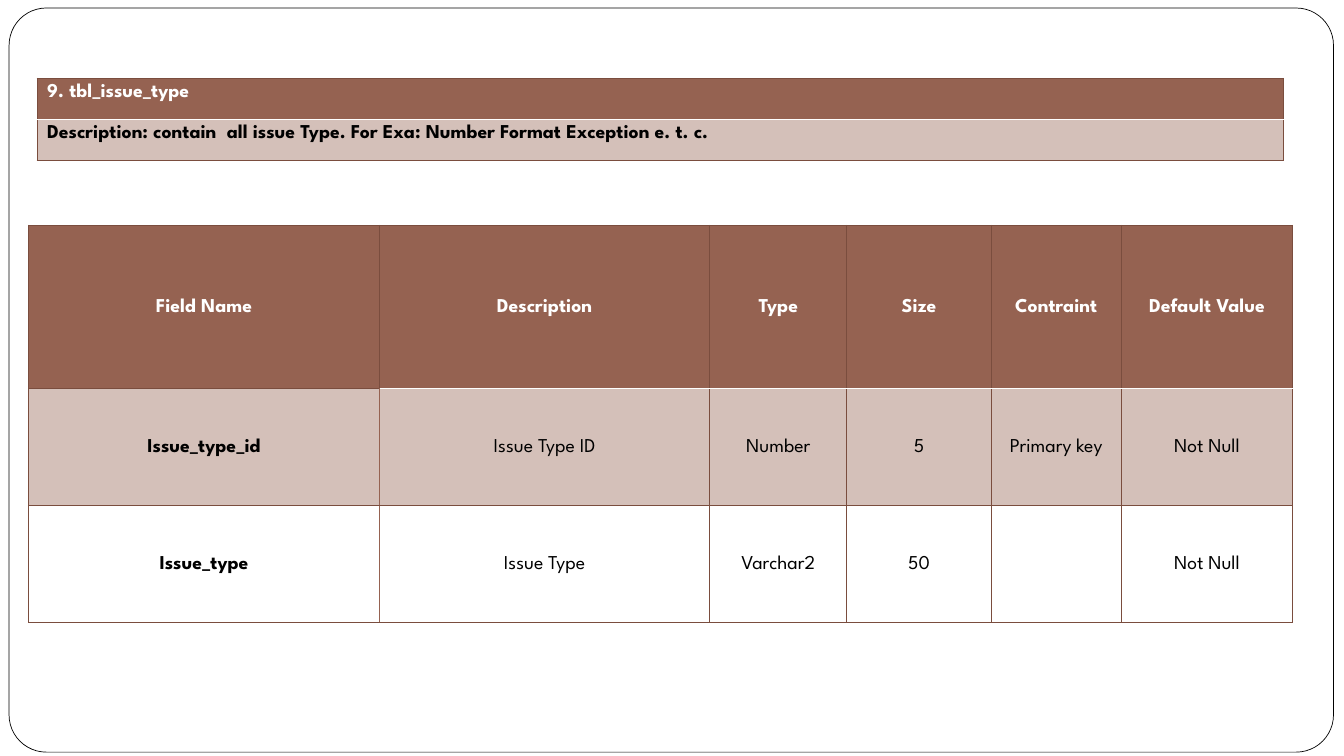
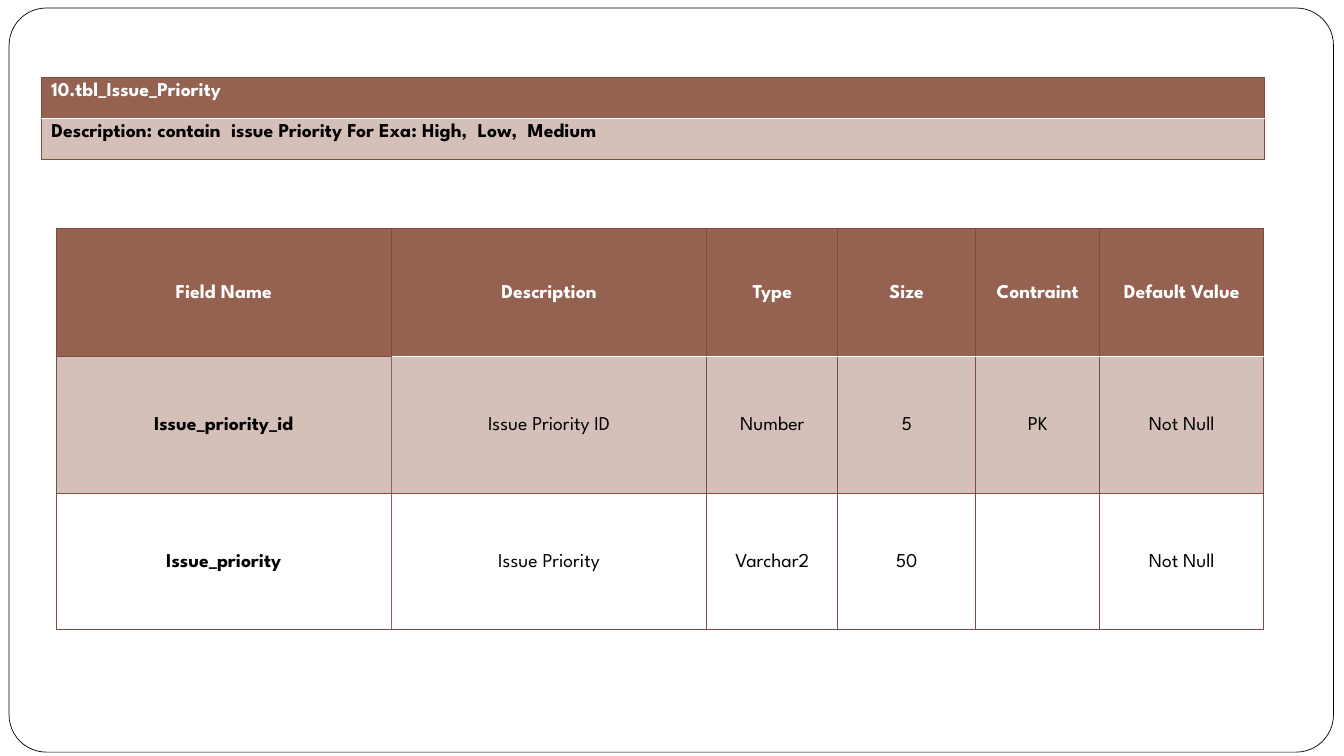
from dataclasses import dataclass

from lxml.etree import SubElement
from pptx import Presentation
from pptx.dml.color import RGBColor
from pptx.enum.shapes import MSO_SHAPE as Shape
from pptx.enum.text import MSO_ANCHOR as Anchor, PP_ALIGN as Align
from pptx.oxml.ns import qn
from pptx.util import Pt


@dataclass(frozen=True)
class Theme:
    font: str = "League Spartan"
    size: float = 14
    white: str = "FFFFFF"
    black: str = "000000"
    brown: str = "956251"
    edge: str = "7A4D3E"
    tint: int = 40


THEME = Theme()
EDGE = (THEME.edge, 0.75)
DIVIDER = (THEME.white, 1)
FIELD_EDGE = (THEME.brown, 1)
HEADINGS = ("Field Name", "Description", "Type", "Size", "Contraint", "Default Value")
COLUMN_SHARES = (250.5, 236, 98, 103, 93, 122.5)
BANNER_ROW = 29.25

TABLES = (
    dict(
        title="9. tbl_issue_type",
        description="Description: contain  all issue Type. For Exa: Number Format Exception e. t. c.",
        banner=(26.5, 56, 890),
        grid=(20.5, 161, 903),
        heights=(116.5, 83.5, 83.5),
        fields=(
            ("Issue_type_id", "Issue Type ID", "Number", "5", "Primary key", "Not Null"),
            ("Issue_type", "Issue Type", "Varchar2", "50", "", "Not Null"),
        ),
    ),
    dict(
        title="10.tbl_Issue_Priority",
        description="Description: contain  issue Priority For Exa: High,  Low,  Medium",
        banner=(29.5, 55.25, 873.5),
        grid=(40.25, 163.25, 862.5),
        heights=(91.5, 97.5, 97.5),
        fields=(
            ("Issue_priority_id", "Issue Priority ID", "Number", "5", "PK", "Not Null"),
            ("Issue_priority", "Issue Priority", "Varchar2", "50", "", "Not Null"),
        ),
    ),
)


def rgb(color):
    return RGBColor.from_string(color)


def add_frame(slide):
    frame = slide.shapes.add_shape(Shape.ROUNDED_RECTANGLE, Pt(6.5), Pt(5.75), Pt(946), Pt(531.5))
    frame.adjustments[0] = 0.05
    frame.shadow.inherit = False
    frame.fill.solid()
    frame.fill.fore_color.rgb = rgb(THEME.white)
    frame.line.color.rgb = rgb(THEME.black)
    frame.line.width = Pt(0.5)


def add_grid(slide, left, top, widths, heights):
    grid = slide.shapes.add_table(
        len(heights), len(widths), Pt(left), Pt(top), Pt(sum(widths)), Pt(sum(heights))
    ).table
    grid.first_row = grid.horz_banding = False
    for column, width in zip(grid.columns, widths):
        column.width = Pt(width)
    for row, height in zip(grid.rows, heights):
        row.height = Pt(height)
    return grid


def set_borders(cell, left=EDGE, right=EDGE, top=EDGE, bottom=EDGE):
    properties = cell._tc.get_or_add_tcPr()
    for side, (color, width) in zip("LRTB", (left, right, top, bottom)):
        line = SubElement(properties, qn(f"a:ln{side}"), w=str(Pt(width)))
        fill = SubElement(line, qn("a:solidFill"))
        SubElement(fill, qn("a:srgbClr"), val=color)


def set_fill(cell, color, opacity=100):
    cell.fill.solid()
    cell.fill.fore_color.rgb = rgb(color)
    if opacity < 100:
        for value in cell._tc.tcPr.find(qn("a:solidFill")):
            SubElement(value, qn("a:alpha"), val=str(opacity * 1000))


def set_text(cell, text, color, bold):
    if not text:
        return
    run = cell.text_frame.paragraphs[0].add_run()
    run.text = text
    run.font.name = THEME.font
    run.font.size = Pt(THEME.size)
    run.font.bold = bold
    run.font.color.rgb = rgb(color)


def center_text(cell):
    cell.vertical_anchor = Anchor.MIDDLE
    cell.margin_left = cell.margin_right = Pt(5)
    cell.margin_top = cell.margin_bottom = Pt(0)
    paragraph = cell.text_frame.paragraphs[0]
    paragraph.alignment = Align.CENTER
    paragraph.line_spacing = 1.15


def add_banner(slide, title, description, left, top, width):
    banner = add_grid(slide, left, top, (width,), (BANNER_ROW, BANNER_ROW))
    title_cell, description_cell = banner.cell(0, 0), banner.cell(1, 0)
    set_borders(title_cell, bottom=DIVIDER)
    set_fill(title_cell, THEME.brown)
    set_text(title_cell, title, THEME.white, True)
    set_borders(description_cell, top=DIVIDER)
    set_fill(description_cell, THEME.brown, THEME.tint)
    set_text(description_cell, description, THEME.black, True)


def add_field_table(slide, fields, heights, left, top, width):
    widths = [width * share / sum(COLUMN_SHARES) for share in COLUMN_SHARES]
    grid = add_grid(slide, left, top, widths, heights)
    row_fills = ((THEME.brown,), (THEME.brown, THEME.tint), (THEME.white,))
    for row, (texts, fill) in enumerate(zip((HEADINGS, *fields), row_fills)):
        heading = row == 0
        for column, text in enumerate(texts):
            cell = grid.cell(row, column)
            divider = DIVIDER if column else EDGE
            set_borders(
                cell,
                left=FIELD_EDGE if column == 1 and not heading else EDGE,
                right=FIELD_EDGE if column == 0 and not heading else EDGE,
                top=divider if row == 1 else EDGE,
                bottom=divider if heading else EDGE,
            )
            set_fill(cell, *fill)
            center_text(cell)
            set_text(cell, text, THEME.white if heading else THEME.black, heading or column == 0)


def main():
    deck = Presentation()
    deck.slide_width, deck.slide_height = Pt(960), Pt(540)
    for table in TABLES:
        slide = deck.slides.add_slide(deck.slide_layouts[6])
        add_frame(slide)
        add_field_table(slide, table["fields"], table["heights"], *table["grid"])
        add_banner(slide, table["title"], table["description"], *table["banner"])
    deck.save("out.pptx")


if __name__ == "__main__":
    main()
